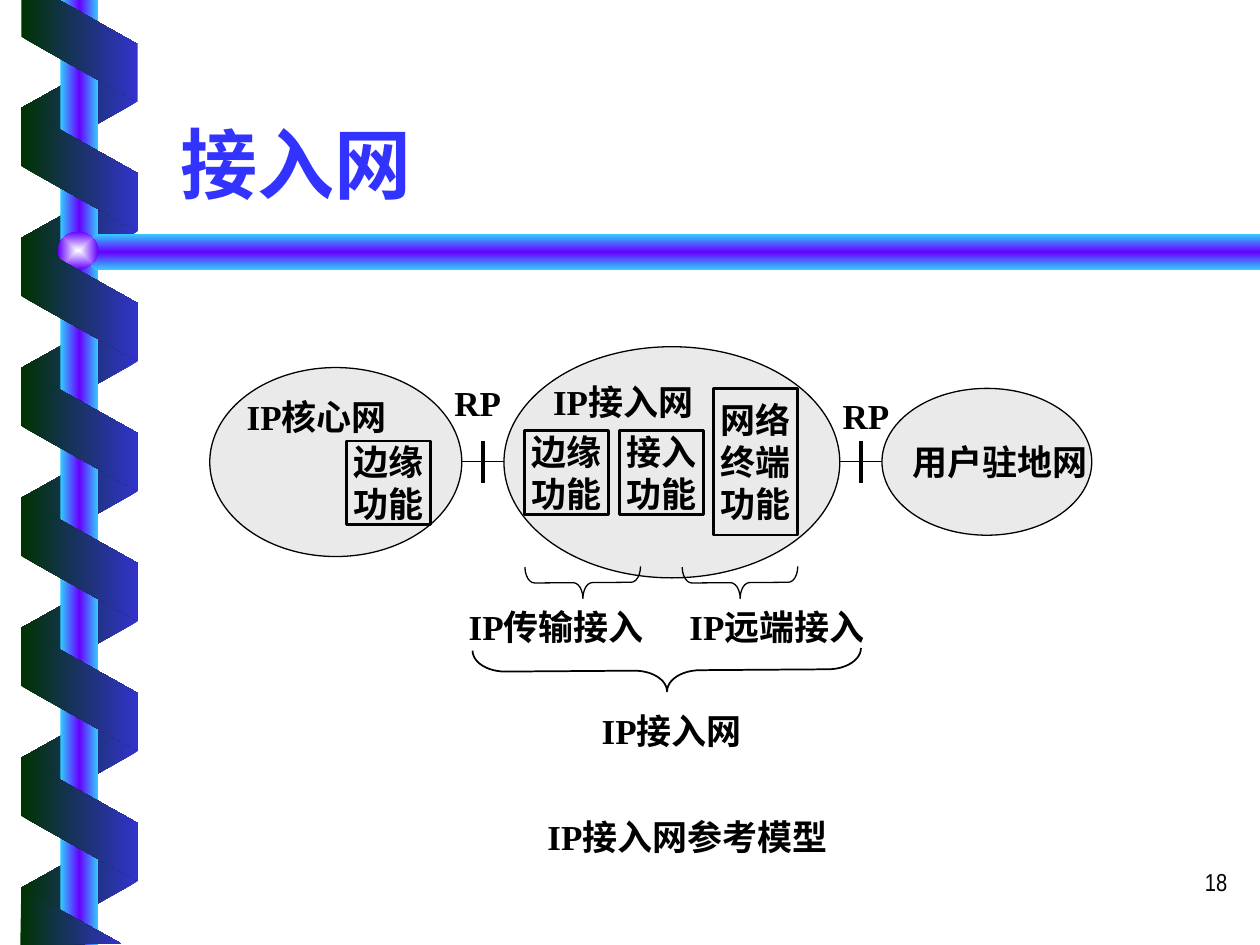
import pptx
import pptx.util
import pptx.dml.color
import pptx.enum.shapes
import pptx.enum.text
import pptx.oxml.ns
import lxml.etree

Cm = pptx.util.Cm
Pt = pptx.util.Pt
RGBColor = pptx.dml.color.RGBColor
SHAPE = pptx.enum.shapes.MSO_SHAPE
ALIGN = pptx.enum.text.PP_ALIGN
ANCHOR = pptx.enum.text.MSO_ANCHOR
qn = pptx.oxml.ns.qn

BLACK = RGBColor(0x00, 0x00, 0x00)
GREY = RGBColor(0xEA, 0xEA, 0xEA)
TITLE_BLUE = RGBColor(0x33, 0x33, 0xFF)
RIBBON_BLUE = RGBColor(0x33, 0x33, 0xCC)
RIBBON_GREEN = RGBColor(0x00, 0x33, 0x00)
SKY = RGBColor(0x33, 0xCC, 0xFF)
VIOLET = RGBColor(0x66, 0x00, 0xFF)
PEARL = RGBColor(0xFE, 0xFF, 0xFF)


def write_text(shape, text, size=20, font="Times New Roman", color=BLACK, bold=True,
               align=ALIGN.LEFT, anchor=ANCHOR.TOP, wrap=True, inset_x=0.25, inset_y=0.13):
    frame = shape.text_frame
    frame.word_wrap = wrap
    frame.vertical_anchor = anchor
    frame.margin_left = frame.margin_right = Cm(inset_x)
    frame.margin_top = frame.margin_bottom = Cm(inset_y)
    frame.text = text
    for paragraph in frame.paragraphs:
        paragraph.alignment = align
        for run in paragraph.runs:
            run.font.size = Pt(size)
            run.font.bold = bold
            run.font.color.rgb = color
            run.font.name = font
            east_asian = lxml.etree.SubElement(run.font._element, qn("a:ea"))
            east_asian.set("typeface", "Noto Sans CJK SC")


def paint_gradient(shape, colors, angle=0, radiating=False):
    shape.shadow.inherit = False
    shape.line.fill.background()
    shape.fill.gradient()
    gradient = shape._element.spPr.find(qn("a:gradFill"))
    for child in list(gradient):
        gradient.remove(child)
    gradient.set("rotWithShape", "0")
    stops = lxml.etree.SubElement(gradient, qn("a:gsLst"))
    for i, color in enumerate(colors):
        stop = lxml.etree.SubElement(stops, qn("a:gs"), pos=str(100000 * i // (len(colors) - 1)))
        lxml.etree.SubElement(stop, qn("a:srgbClr"), val=str(color))
    if radiating:
        center = lxml.etree.SubElement(gradient, qn("a:path"), path="rect")
        lxml.etree.SubElement(center, qn("a:fillToRect"), l="50000", t="50000", r="50000", b="50000")
    else:
        lxml.etree.SubElement(gradient, qn("a:lin"), ang=str(angle * 60000), scaled="1")


prs = pptx.Presentation()
prs.slide_width = Cm(25.4)
prs.slide_height = Cm(19.05)
slide = prs.slides.add_slide(prs.slide_layouts[5])
shapes = slide.shapes

turn = 2.62
for i in range(7):
    back_turn = shapes.add_shape(SHAPE.PARALLELOGRAM, Cm(0.36), Cm(0.94 + turn * i), Cm(2.49), Cm(2.34))
    back_turn.adjustments[0] = 0.56
    back_turn.rotation = 90
    back_turn._element.spPr.xfrm.set("flipH", "1")
    paint_gradient(back_turn, [RIBBON_BLUE, RIBBON_GREEN])

pole = shapes.add_shape(SHAPE.RECTANGLE, Cm(1.22), 0, Cm(0.76), Cm(19.05))
paint_gradient(pole, [SKY, VIOLET, SKY])

bar_outline = [(25.4, 4.72), (1.93, 4.72), (1.52, 5.08), (1.93, 5.44), (25.4, 5.44)]
top_outline = [(0.43, 0), (0.43, 0.74), (2.77, 2.06), (2.77, 0.89), (1.19, 0)]
bottom_outline = [(2.44, 19.02), (0.43, 17.91), (0.41, 19.05)]
for outline, colors, angle in [
    (bar_outline, [SKY, VIOLET, SKY], 90),
    (top_outline, [RIBBON_GREEN, RIBBON_BLUE], 0),
    (bottom_outline, [RIBBON_GREEN, RIBBON_BLUE], 0),
]:
    corners = [(Cm(x), Cm(y)) for x, y in outline]
    builder = shapes.build_freeform(*corners[0])
    builder.add_line_segments(corners[1:])
    paint_gradient(builder.convert_to_shape(), colors, angle)

pearl = shapes.add_shape(SHAPE.OVAL, Cm(1.17), Cm(4.67), Cm(0.81), Cm(0.76))
paint_gradient(pearl, [PEARL, VIOLET], radiating=True)

for i in range(6):
    front_turn = shapes.add_shape(SHAPE.PARALLELOGRAM, Cm(0.36), Cm(2.24 + turn * i), Cm(2.49), Cm(2.36))
    front_turn.adjustments[0] = 0.56
    front_turn.rotation = 270
    paint_gradient(front_turn, [RIBBON_GREEN, RIBBON_BLUE])

title = shapes.title
title.left, title.top, title.width, title.height = Cm(3.39), Cm(1.17), Cm(21.59), Cm(3.18)
write_text(title, "接入网", size=44, font="Noto Sans CJK SC", color=TITLE_BLUE, anchor=ANCHOR.BOTTOM)

networks = [
    ("IP核心网", 4.23, 7.41, 5.08, 3.81, ANCHOR.TOP),
    ("IP接入网", 10.16, 6.99, 6.77, 4.66, ANCHOR.TOP),
    ("用户驻地网", 17.78, 7.83, 4.23, 2.96, ANCHOR.MIDDLE),
]
for name, left, top, width, height, anchor in networks:
    network = shapes.add_shape(SHAPE.OVAL, Cm(left), Cm(top), Cm(width), Cm(height))
    network.shadow.inherit = False
    network.fill.solid()
    network.fill.fore_color.rgb = GREY
    network.line.color.rgb = BLACK
    network.line.width = Pt(0.75)
    write_text(network, name, anchor=anchor, wrap=False, inset_x=0, inset_y=0)

functions = [
    ("边缘\n功能", 6.99, 8.89, 1.69),
    ("边缘\n功能", 10.58, 8.68, 1.69),
    ("接入\n功能", 12.49, 8.68, 1.69),
    ("网络\n终端\n功能", 14.39, 7.83, 2.96),
]
for name, left, top, height in functions:
    function = shapes.add_shape(SHAPE.RECTANGLE, Cm(left), Cm(top), Cm(1.69), Cm(height))
    function.shadow.inherit = False
    function.fill.solid()
    function.fill.fore_color.rgb = GREY
    function.line.color.rgb = BLACK
    function.line.width = Pt(1.5)
    write_text(function, name, align=ALIGN.CENTER, anchor=ANCHOR.MIDDLE, wrap=False, inset_x=0)

for left in (9.31, 16.93):
    middle = left + 0.43
    for x1, y1, x2, y2, weight in [
        (left, 9.31, left + 0.85, 9.31, 0.75),
        (middle, 8.89, middle, 9.74, 2.25),
    ]:
        link = shapes.add_connector(pptx.enum.shapes.MSO_CONNECTOR.STRAIGHT, Cm(x1), Cm(y1), Cm(x2), Cm(y2))
        link.line.color.rgb = BLACK
        link.line.width = Pt(weight)
        lxml.etree.SubElement(link._element.spPr, qn("a:effectLst"))

for left, top, width, height, curve, weight in [
    (11.43, 10.58, 0.64, 2.33, 0.3, 0.75),
    (14.6, 10.58, 0.64, 2.33, 0.3, 0.75),
    (13.02, 9.6, 0.85, 7.83, 0.78, 1),
]:
    brace = shapes.add_shape(SHAPE.LEFT_BRACE, Cm(left), Cm(top), Cm(width), Cm(height))
    brace.adjustments[0] = curve
    brace.rotation = 269.6
    brace.shadow.inherit = False
    brace.fill.background()
    brace.line.color.rgb = BLACK
    brace.line.width = Pt(weight)

labels = [
    ("IP传输接入", 9.1, 12.07, 4.23),
    ("IP远端接入", 13.55, 12.07, 4.23),
    ("IP接入网", 11.43, 14.18, 4.23),
    ("IP接入网参考模型", 7.83, 16.3, 12.07),
    ("RP", 8.89, 7.57, 1.48),
    ("RP", 16.72, 7.83, 1.48),
]
for name, left, top, width in labels:
    label = shapes.add_textbox(Cm(left), Cm(top), Cm(width), Cm(1.11))
    write_text(label, name, align=ALIGN.CENTER)

page_number = shapes.add_textbox(Cm(19.71), Cm(17.35), Cm(5.28), Cm(1.27))
write_text(page_number, "18", size=14, font="Arial Narrow", bold=False, align=ALIGN.RIGHT)

prs.save("out.pptx")
